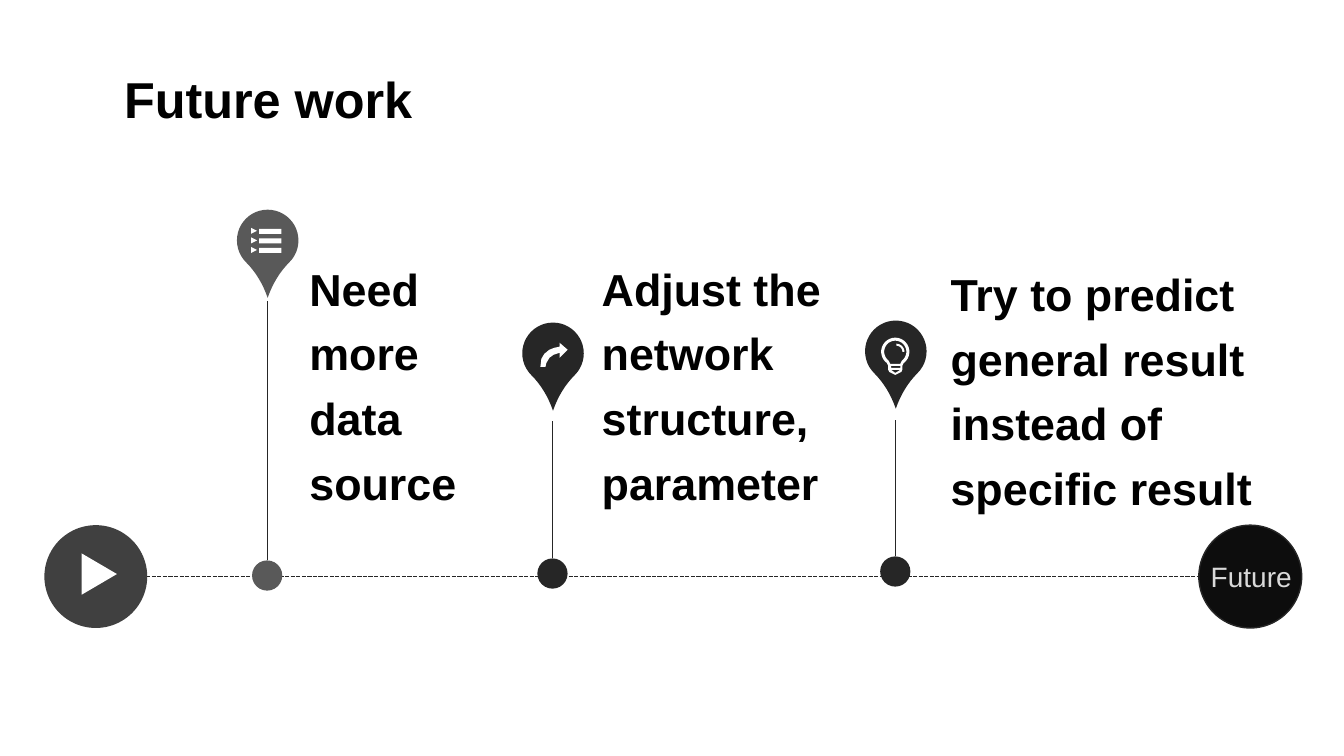
from math import cos, sin, radians
from lxml.etree import SubElement
from pptx import Presentation
from pptx.dml.color import RGBColor
from pptx.enum.dml import MSO_LINE
from pptx.enum.shapes import MSO_CONNECTOR as Link, MSO_SHAPE as Kind
from pptx.enum.text import MSO_ANCHOR as Anchor, MSO_AUTO_SIZE as Auto, PP_ALIGN as Align
from pptx.oxml.ns import qn
from pptx.util import Pt

PX = 9144  # 100 px to the inch
WHITE, DARK, GREY = "FFFFFF", "262626", "595959"


def px(*vals):
    return [round(v * PX) for v in vals]


def rgb(code):
    return RGBColor.from_string(code)


def assign(item, values):
    for name, value in values.items():
        setattr(item, name, value)


# Text
def write(shape, text, size, color="000000", bold=True, pad=(10, 5),
          align=Align.LEFT, space=1.0, wrap=True, anchor=Anchor.TOP):
    frame = shape.text_frame
    side, edge = px(*pad)
    assign(frame, {"word_wrap": wrap, "auto_size": Auto.NONE, "vertical_anchor": anchor,
                   "margin_left": side, "margin_right": side,
                   "margin_top": edge, "margin_bottom": edge})
    frame.text = text
    line = frame.paragraphs[0]
    assign(line, {"alignment": align, "line_spacing": space})
    font = line.runs[0].font
    assign(font, {"name": "Arial", "size": Pt(size), "bold": bold})
    font.color.rgb = rgb(color)


def label(slide, box, text, size, **style):
    write(slide.shapes.add_textbox(*px(*box)), text, size, **style)


# Shapes and lines
def paint(shape, fill, edge=None):
    shape.shadow.inherit = False
    shape.fill.solid()
    shape.fill.fore_color.rgb = rgb(fill)
    if edge:
        shape.line.color.rgb = rgb(edge)
        shape.line.width = Pt(1)
    else:
        shape.line.fill.background()


def solid(slide, kind, box, fill, edge=None, turn=0):
    shape = slide.shapes.add_shape(kind, *px(*box))
    paint(shape, fill, edge)
    shape.rotation = turn
    return shape


def rule(slide, ends, width, dash=None):
    link = slide.shapes.add_connector(Link.STRAIGHT, *px(*ends))
    link.line.color.rgb = rgb(DARK)
    assign(link.line, {"width": Pt(width), "dash_style": dash})
    SubElement(link._element.spPr, qn("a:effectLst"))


# Icons: outlines measured from the centre of a pin
def arc(x, y, radius, start, end, steps=24):
    turns = [radians(start + (end - start) * i / steps) for i in range(steps + 1)]
    return [(x + radius * cos(t), y + radius * sin(t)) for t in turns]


def block(left, top, right, low):
    return [(left, top), (right, top), (right, low), (left, low)]


def list_icon():
    rows = [-12 + 9.5 * i for i in range(3)]
    marks = [[(-16, y), (-10, y + 3), (-16, y + 6)] for y in rows]
    bars = [block(-8, y + 1, 14, y + 6) for y in rows]
    return [marks + bars]


def arrow_icon():
    return [[[(15, -3), (7, -10), (7, -6), (2, -5), (-3, -3), (-8, 1), (-11, 6), (-12, 14),
              (-7, 14), (-6, 10), (-3, 5), (1, 2), (7, 0), (7, 5)]]]


def bulb_icon():
    base = [(7, 15), (7, 19), (6, 21), (0, 24), (-6, 21), (-7, 19), (-7, 15)]
    outer = arc(0, 1, 14, 127, 413) + base
    inner = arc(0, 1, 11, 127, 413) + [(5, 13), (-5, 13)]
    glint = arc(1, 1, 8, -90, 0, 8) + arc(1, 1, 6, 0, -90, 8)
    foot = [(-4, 19), (5, 19), (0, 22)]
    return [[outer, inner, block(-4, 15, 5, 17), foot], [glint]]


def draw(slide, x, y, icon):
    for loops in icon:
        loops = [[px(x + a, y + b) for a, b in loop] for loop in loops]
        form = slide.shapes.build_freeform(*loops[0][0], scale=1.0)
        for i, loop in enumerate(loops):
            if i:
                form.move_to(*loop[0])
            form.add_line_segments(loop[1:], close=True)
        paint(form.convert_to_shape(), WHITE)


# One step: dot on the line, stem, pin and icon
def step(slide, x, y, dot, stem, fill, icon):
    solid(slide, Kind.OVAL, (x - 15, dot, 30, 30), fill)
    rule(slide, (x, stem, x, dot), 0.5)
    pin = solid(slide, Kind.TEAR, (x - 30, y - 30, 61, 61), fill, turn=135)
    pin.adjustments[0] = 1.32
    draw(slide, x, y, icon)


def main():
    prs = Presentation()
    prs.slide_width, prs.slide_height = px(1333, 750)
    slide = prs.slides.add_slide(prs.slide_layouts[5])

    # Title
    title = slide.shapes.title
    assign(title, dict(zip(("left", "top", "width", "height"), px(116, 64, 1024, 68))))
    write(title, "Future work", 36, pad=(7, 4), anchor=Anchor.MIDDLE)

    # Time line with its two ends
    rule(slide, (145, 572, 1189, 572), 1, MSO_LINE.SQUARE_DOT)
    solid(slide, Kind.OVAL, (44, 521, 102, 102), "404040")
    solid(slide, Kind.ISOSCELES_TRIANGLE, (78, 552, 41, 35), WHITE, turn=90)
    solid(slide, Kind.OVAL, (1189, 521, 102, 102), "0D0D0D", DARK)
    label(slide, (1187, 548, 108, 47), "Future", 20, color="D9D9D9", bold=False,
          pad=(13, 7), align=Align.CENTER, wrap=False)

    # Steps
    step(slide, 265, 238, 556, 299, GREY, list_icon())
    step(slide, 548, 350, 554, 418, DARK, arrow_icon())
    step(slide, 888, 348, 552, 417, DARK, bulb_icon())

    # Step texts
    for x, y, width, text in (
            (297, 244, 200, "Need more data source"),
            (587, 244, 254, "Adjust the network structure, parameter"),
            (933, 249, 334, "Try to predict general result instead of specific result")):
        label(slide, (x, y, width, 263), text, 32, space=1.2)

    prs.save("out.pptx")


if __name__ == "__main__":
    main()
